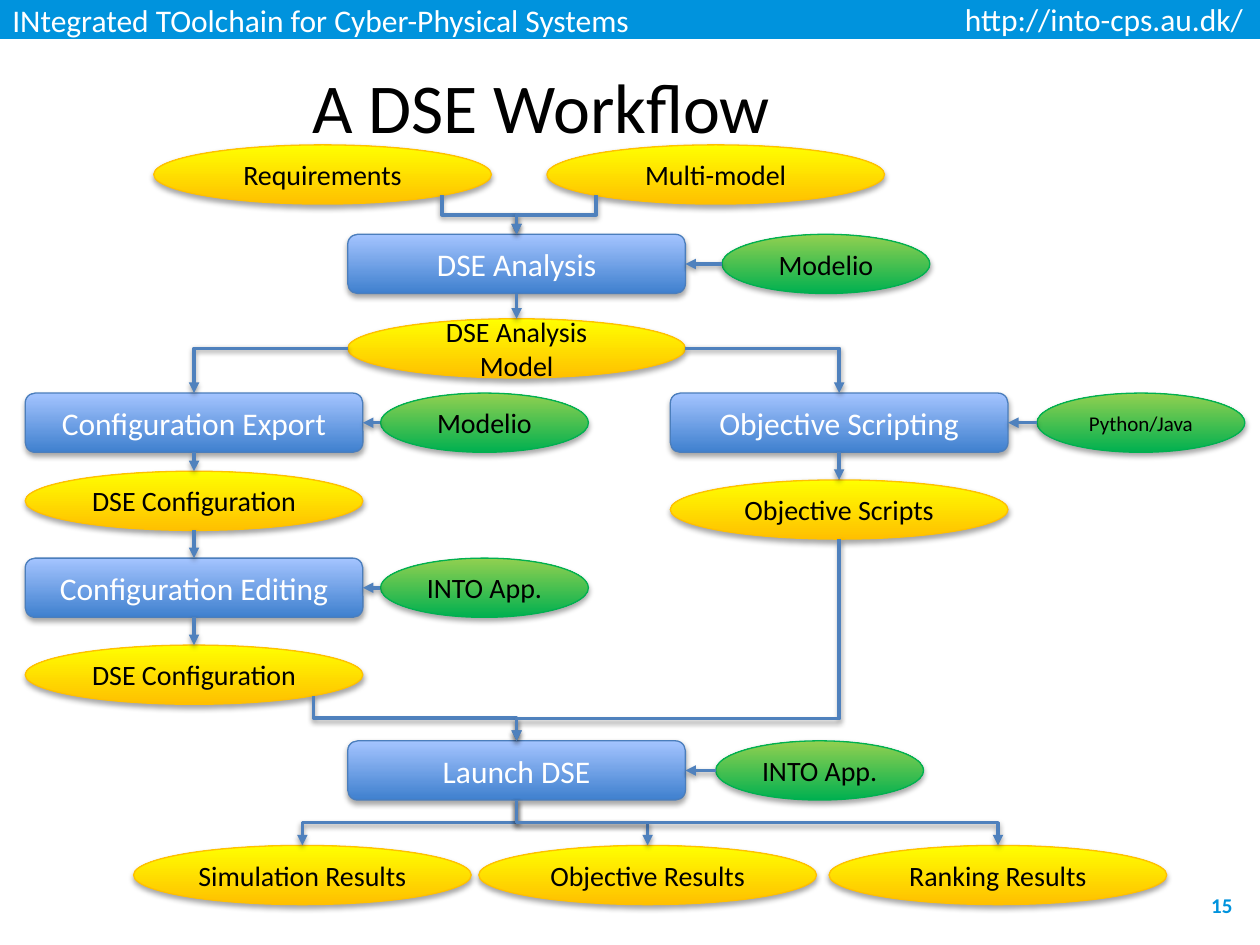
"""Build the DSE workflow slide: a flow chart of steps, data and tools."""
from lxml.etree import SubElement
from pptx import Presentation
from pptx.dml.color import RGBColor
from pptx.enum.shapes import MSO_CONNECTOR, MSO_SHAPE
from pptx.enum.text import MSO_ANCHOR, PP_ALIGN
from pptx.oxml.ns import qn
from pptx.util import Inches, Pt

HUES = {"bar": "0093DD", "white": "FFFFFF", "black": "000000", "link": "4F81BD"}
KINDS = {
    "step": dict(form=MSO_SHAPE.ROUNDED_RECTANGLE, wide=2.68, size=18, ink="white",
                 low="3F80CE", high="A4C4FF", edge="4B7EBC"),
    "data": dict(form=MSO_SHAPE.OVAL, wide=2.68, size=16, ink="black",
                 low="FFC000", high="FFFF00", edge="FFC000"),
    "tool": dict(form=MSO_SHAPE.OVAL, wide=1.65, size=16, ink="black",
                 low="00B050", high="92D050", edge="00B050"),
}
TALL = 0.47
ROWS = [1.15, 1.86, 2.53, 3.12, 3.74, 4.43, 5.12, 5.88, 6.71]
COLS = {"left": 0.2, "side": 3.02, "mid": 2.76, "right": 5.32}
NODES = {
    "needs": ("Requirements", "data", 1.22, 0),
    "multi": ("Multi-model", "data", 4.34, 0),
    "study": ("DSE Analysis", "step", COLS["mid"], 1),
    "study tool": ("Modelio", "tool", 5.73, 1),
    "model": ("DSE Analysis Model", "data", COLS["mid"], 2),
    "export": ("Configuration Export", "step", COLS["left"], 3),
    "export tool": ("Modelio", "tool", COLS["side"], 3),
    "script": ("Objective Scripting", "step", COLS["right"], 3),
    "script tool": ("Python/Java", "tool", 8.23, 3),
    "config": ("DSE Configuration", "data", COLS["left"], 4),
    "scripts": ("Objective Scripts", "data", COLS["right"], 4.1),
    "edit": ("Configuration Editing", "step", COLS["left"], 5),
    "edit tool": ("INTO App.", "tool", COLS["side"], 5),
    "edited": ("DSE Configuration", "data", COLS["left"], 6),
    "launch": ("Launch DSE", "step", COLS["mid"], 7),
    "launch tool": ("INTO App.", "tool", 5.68, 7),
    "sim": ("Simulation Results", "data", 1.06, 8),
    "goal": ("Objective Results", "data", 3.8, 8),
    "rank": ("Ranking Results", "data", 6.58, 8),
}
SIZES = {"script tool": 12}
PORTS = {"top": (0.5, 0), "foot": (0.5, 1), "west": (0, 0.5), "east": (1, 0.5),
         "foot west": (0.146, 0.854), "foot east": (0.854, 0.854)}
DOWN = [("needs", "foot east", "study", 0.5), ("multi", "foot west", "study", 0.5),
        ("study", "foot", "model", 0.5), ("export", "foot", "config", 0.5),
        ("config", "foot", "edit", 0.5), ("edit", "foot", "edited", 0.5),
        ("script", "foot", "scripts", 0.5), ("edited", "foot east", "launch", 0.5),
        ("scripts", "foot", "launch", 0.89), ("launch", "foot", "sim", 0.5),
        ("launch", "foot", "goal", 0.5), ("launch", "foot", "rank", 0.5)]
TURNS = [("west", "export"), ("east", "script")]
TOOLED = ["study", "export", "script", "edit", "launch"]


def tint(name):
    return RGBColor.from_string(HUES.get(name, name))


def write(frame, text, size, ink, align=None, bold=False):
    frame.word_wrap = True
    para = frame.paragraphs[0]
    para.alignment = align
    run = para.add_run()
    run.text = text
    run.font.name, run.font.size, run.font.bold = "Calibri", Pt(size), bold
    run.font.color.rgb = tint(ink)


def shade(props, alpha, gap):
    glow = props.find(qn("a:effectLst"))
    if glow is None:
        glow = SubElement(props, qn("a:effectLst"))
    cast = SubElement(glow, qn("a:outerShdw"), blurRad="40000", dist=str(gap),
                      dir="5400000", rotWithShape="0")
    hue = SubElement(cast, qn("a:srgbClr"), val=HUES["black"])
    SubElement(hue, qn("a:alpha"), val=str(alpha * 1000))


def place(key):
    text, kind, left, row = NODES[key]
    base = int(row)
    top = ROWS[base]
    if row > base:
        top += (row - base) * (ROWS[base + 1] - top)
    return left, top, KINDS[kind]["wide"], TALL


def port(key, side):
    left, top, wide, tall = place(key)
    across, down = PORTS[side]
    return left + across * wide, top + down * tall


def node(slide, key):
    text, kind = NODES[key][:2]
    look = KINDS[kind]
    shape = slide.shapes.add_shape(look["form"], *map(Inches, place(key)))
    shape.fill.gradient()
    shape.fill.gradient_angle = 90
    for stop, hue, spot in zip(shape.fill.gradient_stops, ("low", "high"), (0, 1)):
        stop.color.rgb, stop.position = tint(look[hue]), spot
    shape.line.color.rgb, shape.line.width = tint(look["edge"]), Pt(0.75)
    shape.shadow.inherit = False
    shade(shape._element.spPr, 35, 23000)
    shape.text_frame.vertical_anchor = MSO_ANCHOR.MIDDLE
    write(shape.text_frame, text, SIZES.get(key, look["size"]), look["ink"], PP_ALIGN.CENTER)


def link(slide, start, end, form=MSO_CONNECTOR.STRAIGHT):
    arrow = slide.shapes.add_connector(form, *map(Inches, start + end))
    arrow.line.color.rgb, arrow.line.width = tint("link"), Pt(2)
    SubElement(arrow.line._get_or_add_ln(), qn("a:tailEnd"), type="triangle")
    shade(arrow._element.spPr, 38, 20000)
    return arrow


def drop(slide, start, end, bend):
    wide, tall = end[0] - start[0], end[1] - start[1]
    if abs(wide) < 0.03:
        link(slide, start, end)
        return
    mid, half = (start[0] + end[0]) / 2, (start[1] + end[1]) / 2
    near = (mid - tall / 2, half - abs(wide) / 2)
    far = (mid + tall / 2, half + abs(wide) / 2)
    arrow = link(slide, near, far, MSO_CONNECTOR.ELBOW)
    props = arrow._element.spPr
    frame = props.find(qn("a:xfrm"))
    frame.set("rot", str((270 if wide > 0 else 90) * 60000))
    if wide > 0:
        frame.set("flipH", "1")
    guides = props.find(qn("a:prstGeom")).find(qn("a:avLst"))
    SubElement(guides, qn("a:gd"), name="adj1", fmla=f"val {round(bend * 100000)}")


def main():
    deck = Presentation()
    deck.slide_width, deck.slide_height = Inches(10), Inches(7.5)
    slide = deck.slides.add_slide(deck.slide_layouts[5])

    bar = slide.shapes.add_shape(MSO_SHAPE.RECTANGLE, 0, 0, deck.slide_width, Inches(0.31))
    bar.fill.solid()
    bar.fill.fore_color.rgb = tint("bar")
    bar.line.fill.background()
    bar.shadow.inherit = False
    bar.text_frame.vertical_anchor = MSO_ANCHOR.MIDDLE
    write(bar.text_frame, "INtegrated TOolchain for Cyber-Physical Systems", 18, "white",
          PP_ALIGN.LEFT)

    site = slide.shapes.add_textbox(*map(Inches, (7.56, -0.05, 2.44, 0.4)))
    write(site.text_frame, "http://into-cps.au.dk/", 18, "white")
    page = slide.shapes.add_textbox(*map(Inches, (8.31, 7.06, 1.57, 0.24)))
    page.text_frame.vertical_anchor = MSO_ANCHOR.MIDDLE
    write(page.text_frame, "15", 12, "bar", PP_ALIGN.RIGHT, True)

    title = slide.shapes.title
    title.left, title.top, title.width, title.height = map(Inches, (0.12, 0.45, 8.35, 0.78))
    title.text_frame.vertical_anchor = MSO_ANCHOR.MIDDLE
    write(title.text_frame, "A DSE Workflow", 40, "black", PP_ALIGN.CENTER)

    for key in NODES:
        node(slide, key)
    for src, side, dest, bend in DOWN:
        drop(slide, port(src, side), port(dest, "top"), bend)
    for side, dest in TURNS:
        arrow = link(slide, port("model", side), port(dest, "top"), MSO_CONNECTOR.ELBOW)
        arrow._element.spPr.find(qn("a:prstGeom")).set("prst", "bentConnector2")
    for key in TOOLED:
        link(slide, port(f"{key} tool", "west"), port(key, "east"))
    deck.save("out.pptx")


if __name__ == "__main__":
    main()
